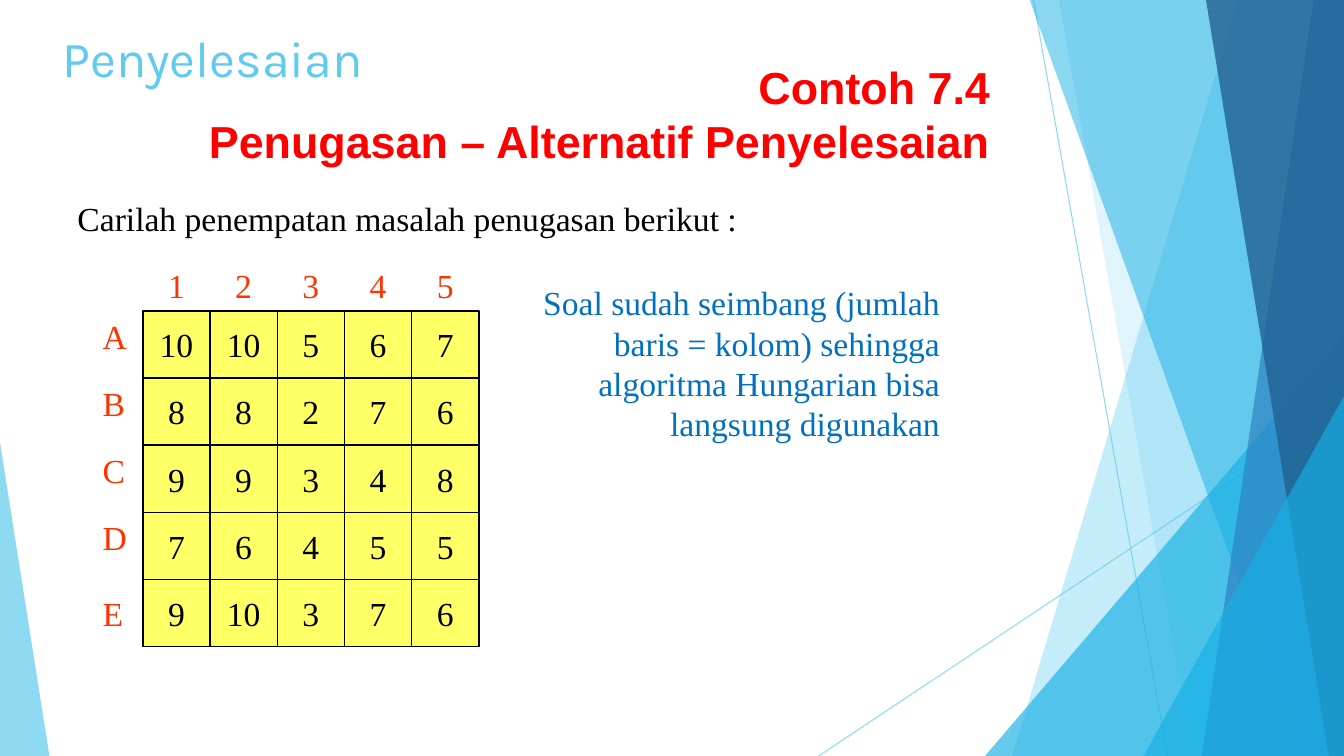
import lxml.etree
import pptx
import pptx.dml.color
import pptx.enum.shapes
import pptx.enum.text
import pptx.oxml.ns
import pptx.util

Inches = pptx.util.Inches
Pt = pptx.util.Pt
RGBColor = pptx.dml.color.RGBColor
MSO_SHAPE = pptx.enum.shapes.MSO_SHAPE
PP_ALIGN = pptx.enum.text.PP_ALIGN
MSO_ANCHOR = pptx.enum.text.MSO_ANCHOR
qn = pptx.oxml.ns.qn

SKY = RGBColor(0x5F, 0xCB, 0xEF)
CYAN = RGBColor(0x17, 0xB0, 0xE4)
BLUE = RGBColor(0x2E, 0x83, 0xC3)
NAVY = RGBColor(0x22, 0x62, 0x92)
RED = RGBColor(0xFF, 0x00, 0x00)
ORANGE = RGBColor(0xFF, 0x33, 0x00)
YELLOW = RGBColor(0xFF, 0xFF, 0x66)
BLACK = RGBColor(0x00, 0x00, 0x00)
NOTE_BLUE = RGBColor(0x00, 0x70, 0xC0)

SERIF = "Times New Roman"
CELL = 2 / 3
GRID_LEFT = 17 / 12
GRID_TOP = 37 / 12
COST_HEIGHT = 0.5
COSTS = [
    [10, 10, 5, 6, 7],
    [8, 8, 2, 7, 6],
    [9, 9, 3, 4, 8],
    [7, 6, 4, 5, 5],
    [9, 10, 3, 7, 6],
]


def set_alpha(properties, percent):
    color = properties.find(".//" + qn("a:srgbClr"))
    lxml.etree.SubElement(color, qn("a:alpha"), val=str(percent * 1000))


def fill_plain(shape, color):
    shape.shadow.inherit = False
    shape.fill.solid()
    shape.fill.fore_color.rgb = color
    shape.line.fill.background()


def paint(facet, color, alpha):
    fill_plain(facet, color)
    set_alpha(facet._element.spPr, alpha)


def add_ray(slide, start, end):
    ray = slide.shapes.add_connector(
        pptx.enum.shapes.MSO_CONNECTOR.STRAIGHT, *map(Inches, start + end))
    ray.line.color.rgb = SKY
    ray.line.width = Pt(0.75)
    set_alpha(ray._element.spPr, 70)
    lxml.etree.SubElement(ray._element.spPr, qn("a:effectLst"))


def add_edge_band(slide, top_left, bottom_left, color, alpha):
    corners = [(13.33, -0.01), (13.33, 7.5), (bottom_left, 7.5)]
    outline = slide.shapes.build_freeform(Inches(top_left), Inches(-0.01))
    outline.add_line_segments([(Inches(x), Inches(y)) for x, y in corners])
    paint(outline.convert_to_shape(), color, alpha)


def add_wedge(slide, left, top, width, apex, color, alpha):
    wedge = slide.shapes.add_shape(
        MSO_SHAPE.ISOSCELES_TRIANGLE,
        Inches(left), Inches(top), Inches(width), Inches(7.5 - top))
    wedge.adjustments[0] = apex
    paint(wedge, color, alpha)


def write(paragraph, text, size, font, color, bold=False):
    run = paragraph.add_run()
    run.text = text
    run.font.size = Pt(size)
    run.font.name = font
    run.font.bold = bold
    run.font.color.rgb = color


def add_text(slide, box, lines, color, size=24, font=SERIF, bold=False,
             align=PP_ALIGN.LEFT, anchor=MSO_ANCHOR.TOP):
    frame = slide.shapes.add_textbox(*map(Inches, box)).text_frame
    frame.word_wrap = True
    frame.vertical_anchor = anchor
    paragraph = frame.paragraphs[0]
    paragraph.alignment = align
    for number, line in enumerate(lines):
        if number:
            paragraph.add_line_break()
        write(paragraph, line, size, font, color, bold)


def add_yellow_box(slide, left, top, width, height):
    box = slide.shapes.add_shape(
        MSO_SHAPE.RECTANGLE, *map(Inches, (left, top, width, height)))
    fill_plain(box, YELLOW)
    return box


def add_cost_cell(slide, left, top, cost):
    square = add_yellow_box(slide, left, top, CELL, CELL)
    square.line.color.rgb = BLACK
    square.line.width = Pt(1)
    width = 0.53 if cost >= 10 else 0.37
    figure = add_yellow_box(slide, left + (CELL - width) / 2,
                            top + (CELL - COST_HEIGHT) / 2, width, COST_HEIGHT)
    frame = figure.text_frame
    frame.word_wrap = False
    frame.vertical_anchor = MSO_ANCHOR.TOP
    paragraph = frame.paragraphs[0]
    paragraph.alignment = PP_ALIGN.CENTER
    write(paragraph, str(cost), 24, SERIF, BLACK)


def add_cost_matrix(slide):
    for row, costs in enumerate(COSTS):
        for column, cost in enumerate(costs):
            add_cost_cell(slide, GRID_LEFT + column * CELL, GRID_TOP + row * CELL, cost)


def add_matrix_labels(slide):
    for column, label in enumerate("12345"):
        add_text(slide, (1.5 + column * CELL, 2.58, 0.5, 0.5), [label], ORANGE,
                 align=PP_ALIGN.CENTER)
    for row, label in enumerate("ABCD"):
        add_text(slide, (0.92, GRID_TOP + row * CELL, 0.5, 0.5), [label], ORANGE)
    add_text(slide, (0.92, 5.83, 0.5, 0.5), ["E"], ORANGE)


def add_backdrop(slide):
    add_ray(slide, (10.25, 0), (11.58, 7.5))
    add_ray(slide, (13.33, 4.03), (8.12, 7.5))
    add_edge_band(slide, 12.28, 10.04, SKY, 36)
    add_edge_band(slide, 10.5, 11.83, SKY, 20)
    add_wedge(slide, 9.77, 3.33, 3.56, 1, CYAN, 66)
    add_edge_band(slide, 10.21, 12.91, CYAN, 50)
    add_edge_band(slide, 13.03, 11.92, BLUE, 70)
    add_edge_band(slide, 11.96, 13.18, NAVY, 80)
    add_wedge(slide, 11.34, 3.93, 1.99, 1, CYAN, 66)
    add_wedge(slide, 0, 4.39, 0.49, 0, SKY, 70)


def main():
    deck = pptx.Presentation()
    deck.slide_width = Inches(13.33)
    deck.slide_height = Inches(7.5)
    slide = deck.slides.add_slide(deck.slide_layouts[6])
    add_backdrop(slide)
    add_text(slide, (1.92, 0.5, 8, 1.25),
             ["Contoh 7.4", "Penugasan – Alternatif Penyelesaian"], RED, 32, "Arial",
             bold=True, align=PP_ALIGN.RIGHT, anchor=MSO_ANCHOR.MIDDLE)
    add_cost_matrix(slide)
    add_matrix_labels(slide)
    add_text(slide, (0.67, 1.91, 8.58, 0.51),
             ["Carilah penempatan masalah penugasan berikut :"], BLACK)
    add_text(slide, (5, 2.75, 4.42, 1.72),
             ["Soal sudah seimbang (jumlah baris = kolom) sehingga "
              "algoritma Hungarian bisa langsung digunakan"],
             NOTE_BLUE, align=PP_ALIGN.RIGHT)
    add_text(slide, (0.52, 0.22, 9.4, 1.44), ["Penyelesaian"], SKY, 36, "Karla")
    deck.save("out.pptx")


if __name__ == "__main__":
    main()
